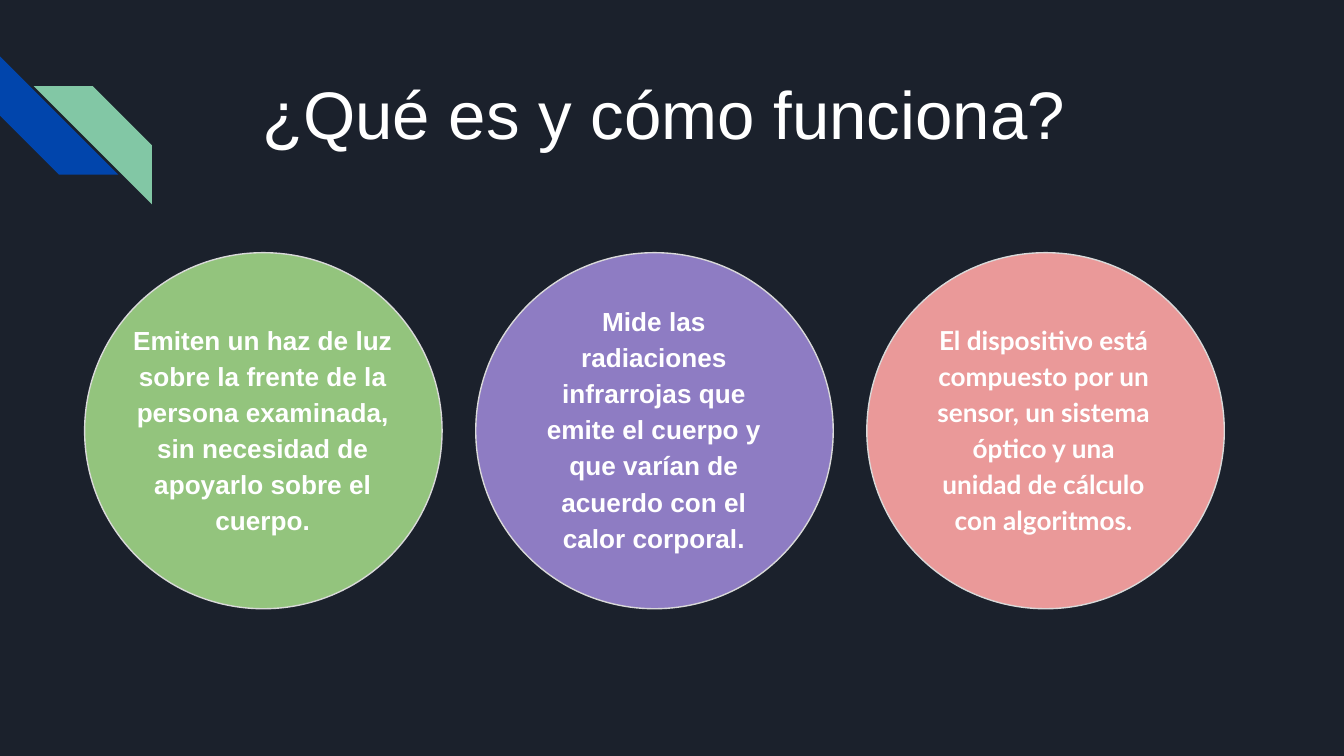
"""Build a slide that explains in three circles how an infrared thermometer works."""
from dataclasses import dataclass

from pptx import Presentation
from pptx.dml.color import RGBColor
from pptx.enum import shapes, text
from pptx.util import Inches, Pt

WHITE = "FFFFFF"
OUTLINE = "D9D9D9"
BACKGROUND = "1B212C"
CIRCLE_LEFT, CIRCLE_TOP, CIRCLE_PITCH = 0.63, 1.88, 2.91
CIRCLE_WIDTH, CIRCLE_HEIGHT = 2.66, 2.65
TEXT_HEIGHT = 1.85


@dataclass(frozen=True)
class Stripe:
    left: float
    top: float
    rotation: int
    color: str


@dataclass(frozen=True)
class Idea:
    wording: str
    color: str
    left: float
    top: float
    width: float
    font: str = "Arial"


STRIPES = [
    Stripe(0, 0.42, 270, "0145AC"),
    Stripe(0.25, 0.64, 90, "82C7A5"),
]
IDEAS = [
    Idea("Emiten un haz de luz sobre la frente de la persona examinada, "
         "sin necesidad de apoyarlo sobre el cuerpo.",
         "93C47D", 0.88, 2.28, 2.15),
    Idea("Mide las radiaciones infrarrojas que emite el cuerpo y "
         "que varían de acuerdo con el calor corporal.",
         "8E7CC3", 3.84, 2.14, 2.05),
    Idea("El dispositivo está compuesto por un sensor, un sistema óptico y una "
         "unidad de cálculo con algoritmos.",
         "EA9999", 6.84, 2.28, 1.85, "Lato"),
]


def paint(target, color: str) -> None:
    target.solid()
    target.fore_color.rgb = RGBColor.from_string(color)


def add_stripe(page, stripe: Stripe) -> None:
    shape = page.shapes.add_shape(
        shapes.MSO_SHAPE.DIAGONAL_STRIPE, Inches(stripe.left), Inches(stripe.top),
        Inches(0.88), Inches(0.88))
    shape.shadow.inherit = False
    shape.rotation = stripe.rotation
    paint(shape.fill, stripe.color)
    shape.line.fill.background()


def add_circle(page, left: float, color: str) -> None:
    circle = page.shapes.add_shape(
        shapes.MSO_SHAPE.OVAL, Inches(left), Inches(CIRCLE_TOP),
        Inches(CIRCLE_WIDTH), Inches(CIRCLE_HEIGHT))
    circle.shadow.inherit = False
    paint(circle.fill, color)
    paint(circle.line.fill, OUTLINE)
    circle.line.width = Pt(0.75)


def add_text(page, wording: str, left: float, top: float, width: float, height: float,
             size: int, font: str = "Arial", bold: bool = False,
             spacing: float = 1.0, after: int = 0) -> None:
    box = page.shapes.add_textbox(Inches(left), Inches(top), Inches(width), Inches(height))
    frame = box.text_frame
    frame.word_wrap = True
    frame.vertical_anchor = text.MSO_ANCHOR.TOP
    frame.margin_left = frame.margin_right = Inches(0.1)
    frame.margin_top = frame.margin_bottom = Inches(0.1)
    para = frame.paragraphs[0]
    para.alignment = text.PP_ALIGN.CENTER
    para.line_spacing = spacing
    para.space_after = Pt(after)
    span = para.add_run()
    span.text = wording
    span.font.name = font
    span.font.size = Pt(size)
    span.font.bold = bold
    paint(span.font.fill, WHITE)


def main() -> None:
    deck = Presentation()
    deck.slide_width = Inches(10)
    deck.slide_height = deck.slide_width * 9 // 16
    page = deck.slides.add_slide(deck.slide_layouts[6])
    paint(page.background.fill, BACKGROUND)
    for stripe in STRIPES:
        add_stripe(page, stripe)
    add_text(page, "¿Qué es y cómo funciona?", 1.09, 0.44, 7.7, 1, 36)
    for index, idea in enumerate(IDEAS):
        add_circle(page, CIRCLE_LEFT + index * CIRCLE_PITCH, idea.color)
        add_text(page, idea.wording, idea.left, idea.top, idea.width, TEXT_HEIGHT, 14,
                 idea.font, bold=True, spacing=1.15, after=16)
    deck.save("out.pptx")


if __name__ == "__main__":
    main()
